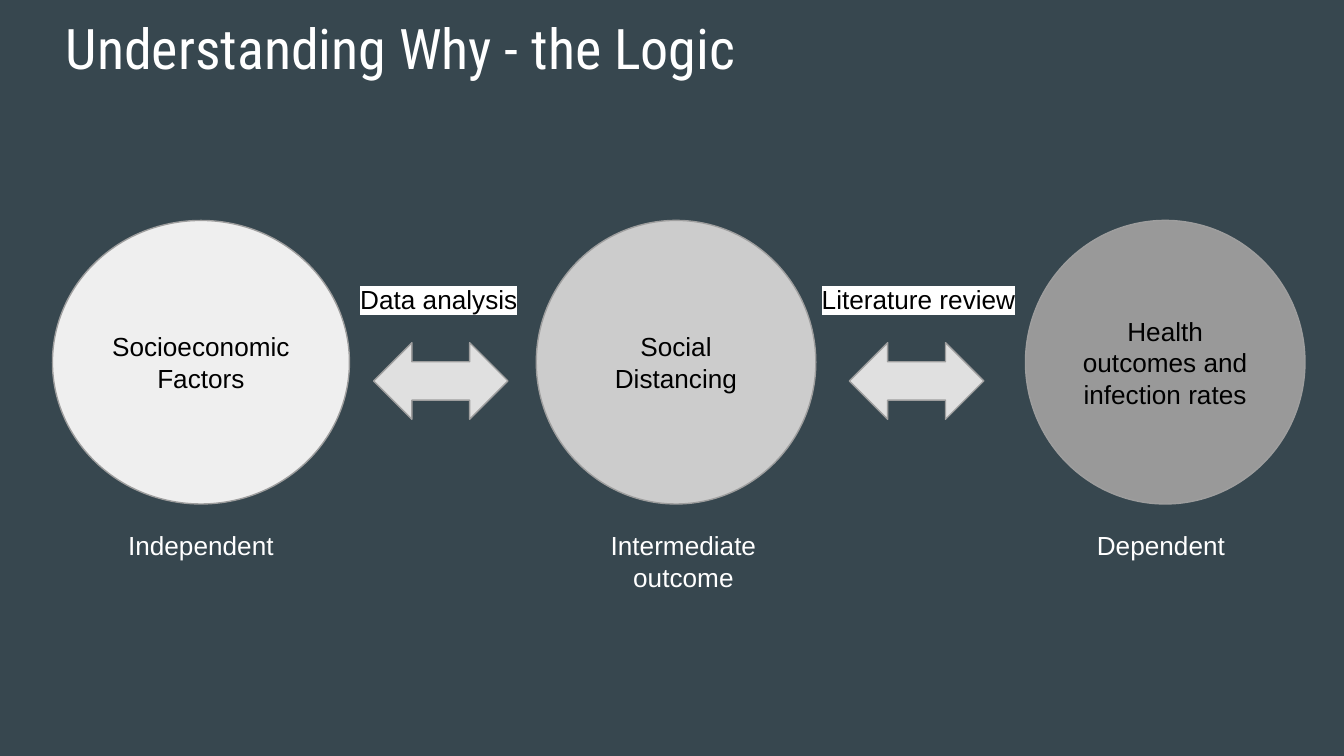
from lxml import etree
from pptx import Presentation
from pptx.dml.color import RGBColor
from pptx.enum import shapes, text
from pptx.oxml.ns import qn
from pptx.util import Inches, Pt

BACKGROUND = RGBColor(0x37, 0x47, 0x4F)
WHITE = RGBColor(0xFF, 0xFF, 0xFF)
BLACK = RGBColor(0x00, 0x00, 0x00)
OUTLINE = RGBColor(0x9E, 0x9E, 0x9E)
ARROW_FILL = RGBColor(0xE0, 0xE0, 0xE0)
LIGHT = RGBColor(0xEF, 0xEF, 0xEF)
MEDIUM = RGBColor(0xCC, 0xCC, 0xCC)
DARK = RGBColor(0x99, 0x99, 0x99)


def set_text(sp, words, color, size=14, font="Arial",
             align=text.PP_ALIGN.CENTER, anchor=text.MSO_ANCHOR.TOP):
    tf = sp.text_frame
    tf.text = words
    tf.word_wrap = True
    tf.vertical_anchor = anchor
    tf.margin_left = tf.margin_right = Inches(0.1)
    tf.margin_top = tf.margin_bottom = Inches(0.1)
    p = tf.paragraphs[0]
    p.alignment = align
    r = p.runs[0]
    r.font.size = Pt(size)
    r.font.name = font
    r.font.color.rgb = color
    return r


def add_shape(s, kind, left, top, width, height, fill):
    sp = s.shapes.add_shape(kind, Inches(left), Inches(top),
                            Inches(width), Inches(height))
    sp.shadow.inherit = False
    sp.fill.solid()
    sp.fill.fore_color.rgb = fill
    sp.line.color.rgb = OUTLINE
    sp.line.width = Pt(0.75)
    return sp


def add_circle(s, left, width, fill, words):
    sp = add_shape(s, shapes.MSO_SHAPE.OVAL, left, 1.64, width, 2.11, fill)
    set_text(sp, words, BLACK, anchor=text.MSO_ANCHOR.MIDDLE)


def add_arrow(s, left):
    sp = add_shape(s, shapes.MSO_SHAPE.LEFT_RIGHT_ARROW,
                   left, 2.55, 1, 0.57, ARROW_FILL)
    sp.adjustments[0] = sp.adjustments[1] = 0.5


def add_label(s, left, top, width, height, words, color, **style):
    sp = s.shapes.add_textbox(Inches(left), Inches(top),
                              Inches(width), Inches(height))
    return set_text(sp, words, color, **style)


def highlight(r, color):
    # The highlight element belongs just before the font name
    mark = etree.Element(qn("a:highlight"))
    etree.SubElement(mark, qn("a:srgbClr")).set("val", str(color))
    r.font._element.find(qn("a:latin")).addprevious(mark)


def main():
    prs = Presentation()
    prs.slide_width = Inches(10)
    prs.slide_height = prs.slide_width * 9 // 16
    s = prs.slides.add_slide(prs.slide_layouts[6])
    s.background.fill.solid()
    s.background.fill.fore_color.rgb = BACKGROUND

    # Title
    add_label(s, 0.39, 0, 9.32, 5.27, "Understanding Why - the Logic", WHITE,
              size=30, font="Roboto Condensed", align=text.PP_ALIGN.LEFT)

    # Stages of the argument
    add_circle(s, 0.39, 2.21, LIGHT, "Socioeconomic Factors")
    add_circle(s, 3.99, 2.08, MEDIUM, "Social Distancing")
    add_circle(s, 7.63, 2.08, DARK, "Health outcomes and infection rates")

    # Links between the stages, with their methods
    for arrow_left in (2.78, 6.32):
        add_arrow(s, arrow_left)
    for left, method in ((5.96, "Literature review"),
                         (2.39, "Data analysis")):
        r = add_label(s, left, 2.01, 1.75, 0.76, method, BLACK)
        highlight(r, WHITE)

    # Variable roles under the circles
    for left, role in ((7.82, "Dependent "),
                       (0.65, "Independent"),
                       (4.24, "Intermediate outcome")):
        add_label(s, left, 3.84, 1.69, 0.45, role, WHITE)

    prs.save("out.pptx")


if __name__ == "__main__":
    main()
